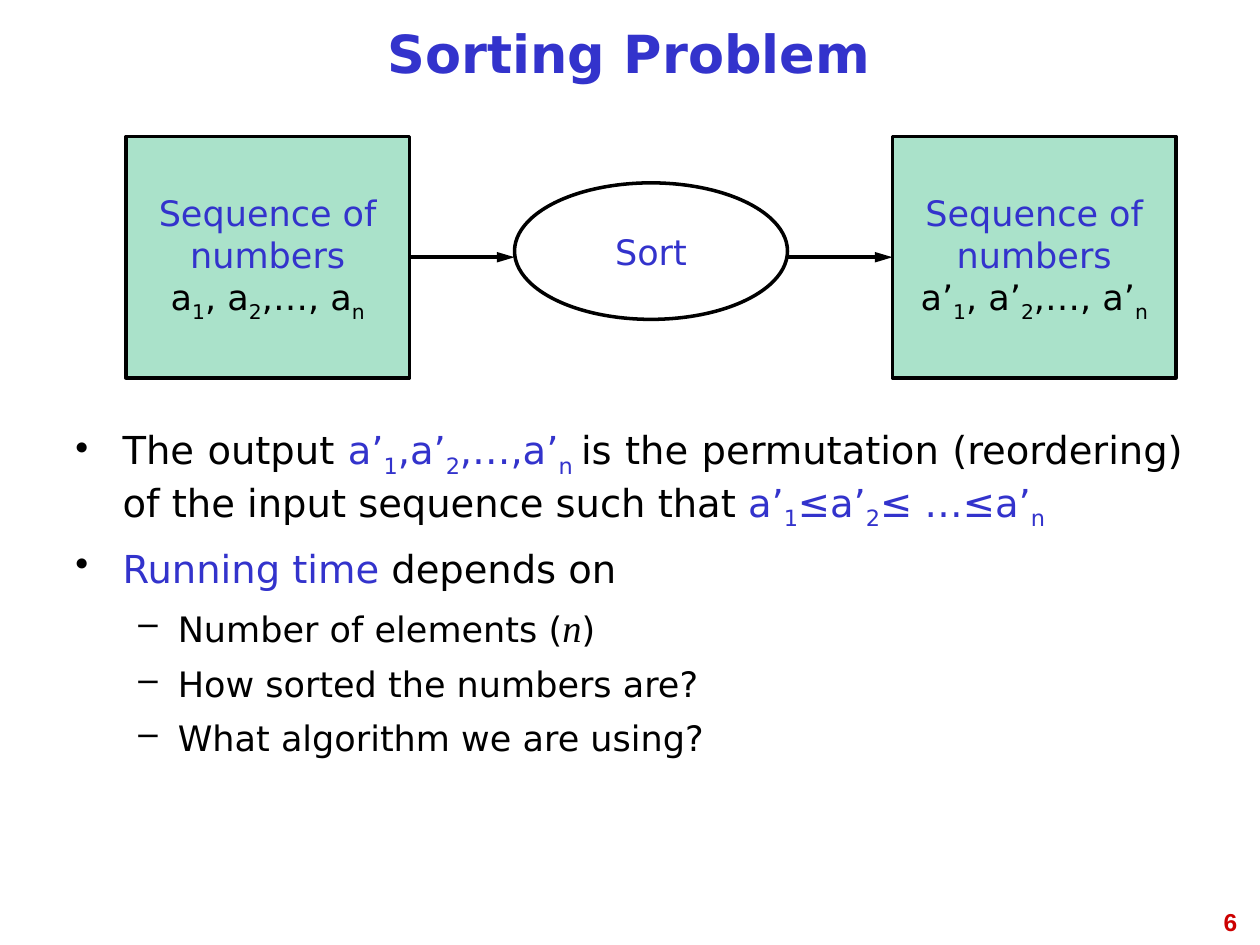
import pptx
import pptx.dml.color
import pptx.enum.shapes
import pptx.enum.text
import pptx.oxml
import pptx.oxml.ns
import pptx.util

Pt = pptx.util.Pt
ALIGN = pptx.enum.text.PP_ALIGN
SHAPE = pptx.enum.shapes.MSO_SHAPE
qn = pptx.oxml.ns.qn
NS = pptx.oxml.ns.nsdecls("a")


def rgb(value):
    return pptx.dml.color.RGBColor.from_string(value)


class Deck:
    FONT = "DejaVu Sans"
    BLUE, BLACK, RED = "3333CC", "000000", "CC0000"
    GREEN, WHITE = "AAE2CA", "FFFFFF"

    def __init__(self, prs):
        self.s = prs.slides.add_slide(prs.slide_layouts[6])

    def runs(self, p, text, size, color, font=FONT, bold=False, italic=False):
        """Add runs; every second part between bars is a subscript."""
        for i, part in enumerate(text.split("|")):
            if not part:
                continue
            r = p.add_run()
            r.text = part
            f = r.font
            f.size, f.name, f.bold, f.italic = Pt(size), font, bold, italic
            f.color.rgb = rgb(color)
            if i % 2:
                r._r.get_or_add_rPr().set("baseline", "-25000")

    def text_box(self, x, y, w, h, anchor=pptx.enum.text.MSO_ANCHOR.TOP):
        tf = self.s.shapes.add_textbox(Pt(x), Pt(y), Pt(w), Pt(h)).text_frame
        tf.word_wrap = True
        tf.vertical_anchor = anchor
        return tf

    def bullet(self, p, char, left, hang, before, level=0):
        p.level = level
        p.alignment = ALIGN.JUSTIFY
        p.space_before = Pt(before)
        pPr = p._p.get_or_add_pPr()
        pPr.set("marL", str(Pt(left)))
        pPr.set("indent", str(-Pt(hang)))
        for xml in (f'<a:buClr {NS}><a:srgbClr val="{self.BLACK}"/></a:buClr>',
                    f'<a:buChar {NS} char="{char}"/>'):
            pPr.append(pptx.oxml.parse_xml(xml))

    def node(self, kind, x, y, w, h, fill, lines):
        sp = self.s.shapes.add_shape(kind, Pt(x), Pt(y), Pt(w), Pt(h))
        sp.shadow.inherit = False
        sp.fill.solid()
        sp.fill.fore_color.rgb = rgb(fill)
        sp.line.color.rgb = rgb(self.BLACK)
        sp.line.width = Pt(2)
        tf = sp.text_frame
        tf.word_wrap = True
        tf.vertical_anchor = pptx.enum.text.MSO_ANCHOR.MIDDLE
        for i, (text, color) in enumerate(lines):
            p = tf.add_paragraph() if i else tf.paragraphs[0]
            p.alignment = ALIGN.CENTER
            self.runs(p, text, 20, color)
        return sp

    def arrow(self, x1, x2, y):
        cn = self.s.shapes.add_connector(
            pptx.enum.shapes.MSO_CONNECTOR.STRAIGHT, Pt(x1), Pt(y), Pt(x2), Pt(y))
        cn.line.color.rgb = rgb(self.BLACK)
        cn.line.width = Pt(2)
        cn.line._get_or_add_ln().append(pptx.oxml.parse_xml(
            f'<a:tailEnd {NS} type="triangle" w="med" len="lg"/>'))
        cn._element.find(qn("p:spPr")).append(
            pptx.oxml.parse_xml(f"<a:effectLst {NS}/>"))
        return cn


def main():
    prs = pptx.Presentation()
    prs.slide_width, prs.slide_height = Pt(720), Pt(540)
    d = Deck(prs)

    # Title
    tf = d.text_box(36, 6, 647, 54, pptx.enum.text.MSO_ANCHOR.MIDDLE)
    p = tf.paragraphs[0]
    p.alignment = ALIGN.CENTER
    p.line_spacing = 0.81
    d.runs(p, "Sorting Problem", 30, d.BLUE, bold=True)

    # Bullet list: (level, runs)
    bullets = [
        (0, [("The output ", d.BLACK), ("a’|1|,a’|2|,…,a’|n ", d.BLUE),
             ("is the permutation (reordering) of the input sequence such that ",
              d.BLACK),
             ("a’|1|≤a’|2|≤ …≤a’|n", d.BLUE)]),
        (0, [("Running time ", d.BLUE), ("depends on", d.BLACK)]),
        (1, [("Number of elements (", d.BLACK),
             ("n", d.BLACK, 22, "Times New Roman", False, True),
             (")", d.BLACK)]),
        (1, [("How sorted the numbers are?", d.BLACK)]),
        (1, [("What algorithm we are using?", d.BLACK)]),
    ]
    levels = [("•", 27, 27, 8), ("–", 58.5, 22.5, 7)]
    sizes = [22, 20]
    tf = d.text_box(36, 240, 647, 246)
    for i, (level, parts) in enumerate(bullets):
        p = tf.add_paragraph() if i else tf.paragraphs[0]
        d.bullet(p, *levels[level], level)
        for text, color, *style in parts:
            d.runs(p, text, *(style[:1] or [sizes[level]]), color, *style[1:])

    # Page number
    p = d.text_box(546, 515, 168, 37).paragraphs[0]
    p.alignment = ALIGN.RIGHT
    d.runs(p, "6", 14, d.RED, "Arial", bold=True)

    # Input, sort, output
    source, target = [
        d.node(SHAPE.RECTANGLE, x, 78, 162, 138, d.GREEN,
               [("Sequence of numbers", d.BLUE), (terms, d.BLACK)])
        for x, terms in ((72, "a|1|, a|2|,…, a|n"), (510, "a’|1|, a’|2|,…, a’|n"))]
    d.node(SHAPE.OVAL, 294, 104.5, 156, 78, d.WHITE, [("Sort", d.BLUE)])

    # Flow arrows
    d.arrow(234, 294, 147).begin_connect(source, 3)
    d.arrow(450, 510, 147).end_connect(target, 1)

    prs.save("out.pptx")


if __name__ == "__main__":
    main()
